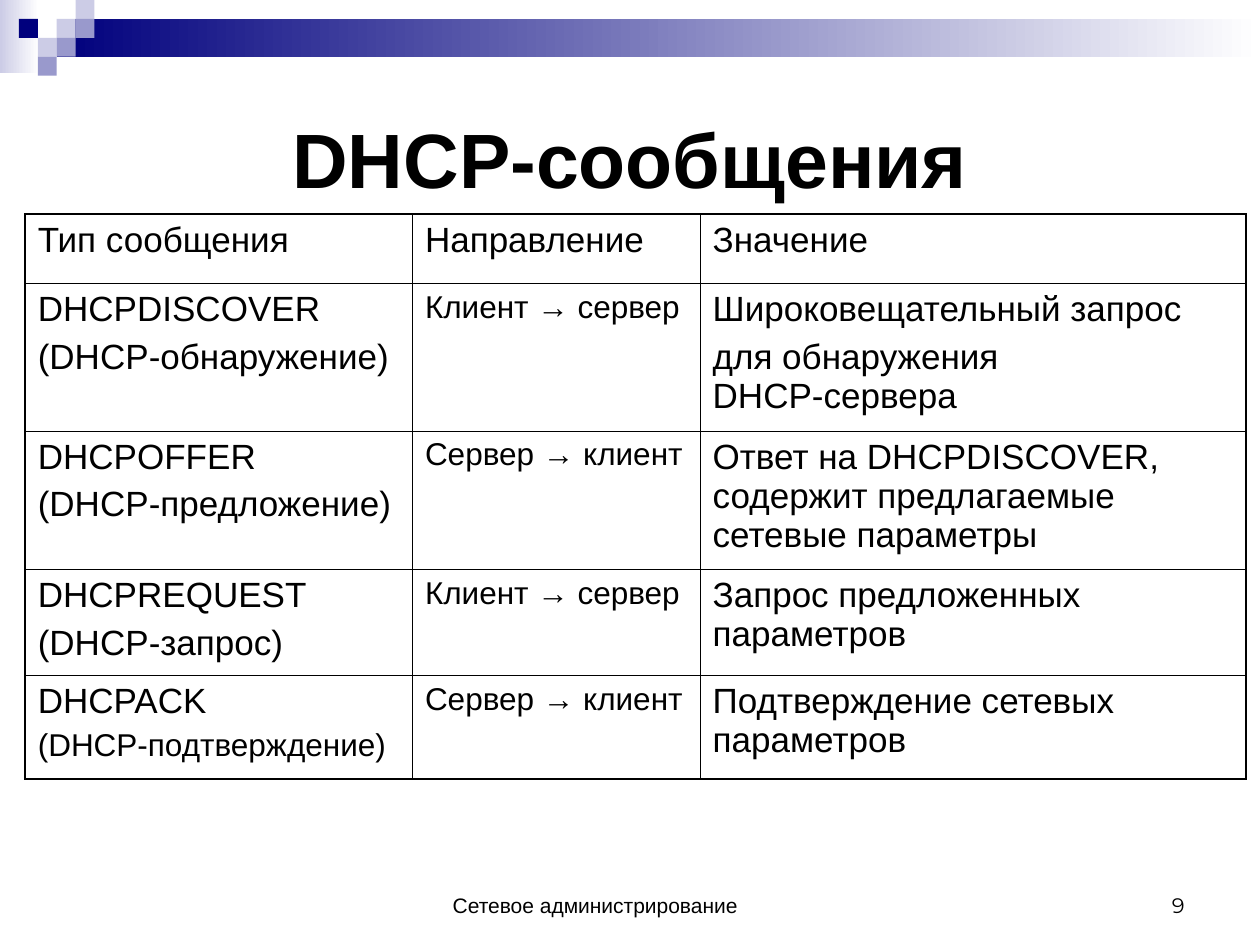
from lxml.etree import SubElement
from pptx import Presentation
from pptx.dml.color import RGBColor
from pptx.enum.shapes import MSO_SHAPE
from pptx.enum.text import MSO_ANCHOR as Anchor, PP_ALIGN as Align
from pptx.oxml import parse_xml
from pptx.oxml.ns import nsdecls
from pptx.util import Pt

COLORS = {"text": "000000", "navy": "00007D", "violet": "9999CC",
          "lilac": "CCCCE6", "white": "FFFFFF"}

TITLE = "DHCP-сообщения"
FOOTER = "Сетевое администрирование"
PAGE_NUMBER = "9"

# Each cell is a list of paragraphs; \v breaks a line inside a paragraph.
ROWS = [
    [["Тип сообщения"], ["Направление"], ["Значение"]],
    [["DHCPDISCOVER", "(DHCP-обнаружение)"], ["Клиент → сервер"],
     ["Широковещательный запрос", "для обнаружения \vDHCP-сервера"]],
    [["DHCPOFFER", "(DHCP-предложение)"], ["Сервер → клиент"],
     ["Ответ на DHCPDISCOVER,", "содержит предлагаемые", "сетевые параметры"]],
    [["DHCPREQUEST", "(DHCP-запрос)"], ["Клиент → сервер"],
     ["Запрос предложенных параметров"]],
    [["DHCPACK", "(DHCP-подтверждение)"], ["Сервер → клиент"],
     ["Подтверждение сетевых параметров"]],
]
SMALL_TEXTS = {"Клиент → сервер", "Сервер → клиент", "(DHCP-подтверждение)"}
TIGHT_CELLS = {(2, 2)}  # paragraphs without space before
COLUMN_WIDTHS = [221.3, 164.4, 312]
ROW_HEIGHTS = [39.7, 84.1, 79.1, 59.7, 59.2]
THICK, THIN = 1.08, 0.45

# Header squares on a grid: column, row, colour
SQUARE = 10.8
SQUARES = [(3, 1, "lilac"), (4, 0, "lilac"), (4, 1, "violet"), (2, 2, "lilac"),
           (1, 1, "navy"), (3, 2, "violet"), (2, 3, "violet")]


def rgb(name):
    return RGBColor.from_string(COLORS[name])


def style(para, size, font="Arial", bold=False, align=None):
    para.font.size, para.font.name, para.font.bold = Pt(size), font, bold
    para.font.color.rgb = rgb("text")
    para.alignment = align


def add_block(slide, left, top, width, height, start, end=None):
    """Add a borderless rectangle, fading rightwards to end if it is given."""
    block = slide.shapes.add_shape(MSO_SHAPE.RECTANGLE, Pt(left), Pt(top),
                                   Pt(width), Pt(height))
    block.shadow.inherit = False
    block.line.fill.background()
    if end is None:
        block.fill.solid()
        block.fill.fore_color.rgb = rgb(start)
        return
    block.fill.gradient()
    block.fill.gradient_angle = 0
    for stop, position, name in zip(block.fill.gradient_stops, (0, 1), (start, end)):
        stop.position = position
        stop.color.rgb = rgb(name)


def add_label(slide, text, left, width, font, align):
    box = slide.shapes.add_textbox(Pt(left), Pt(491.8), Pt(width), Pt(36))
    frame = box.text_frame
    frame.word_wrap = True
    frame.vertical_anchor = Anchor.BOTTOM
    frame.text = text
    style(frame.paragraphs[0], 12, font, align=align)


def set_borders(cell, widths):
    """Draw the left, right, top and bottom lines, in that order."""
    properties = cell._tc.get_or_add_tcPr()
    for index, (side, width) in enumerate(zip("LRTB", widths)):
        line = parse_xml(f'<a:ln{side} {nsdecls("a")} w="{Pt(width)}"/>')
        fill = SubElement(line, line.tag.replace(f"ln{side}", "solidFill"))
        SubElement(fill, fill.tag.replace("solidFill", "srgbClr"), val=COLORS["text"])
        properties.insert(index, line)


def add_message_table(slide):
    last_row, last_column = len(ROWS) - 1, len(COLUMN_WIDTHS) - 1
    table = slide.shapes.add_table(
        len(ROWS), len(COLUMN_WIDTHS), Pt(14.4), Pt(122.4),
        Pt(sum(COLUMN_WIDTHS)), Pt(sum(ROW_HEIGHTS))).table
    table.first_row = table.horz_banding = False
    for column, width in zip(table.columns, COLUMN_WIDTHS):
        column.width = Pt(width)
    for row, height in zip(table.rows, ROW_HEIGHTS):
        row.height = Pt(height)
    for r, row in enumerate(ROWS):
        for c, texts in enumerate(row):
            cell = table.cell(r, c)
            cell.fill.background()
            thick_sides = (c == 0, c == last_column, r <= 1, r in (0, last_row))
            set_borders(cell, [THICK if thick else THIN for thick in thick_sides])
            cell.text = "\n".join(texts)
            for text, para in zip(texts, cell.text_frame.paragraphs):
                size = 18 if text in SMALL_TEXTS else 20
                style(para, size)
                para.space_before = Pt(0 if (r, c) in TIGHT_CELLS else size / 4)


def main():
    deck = Presentation()
    deck.slide_width, deck.slide_height = Pt(720), Pt(540)
    slide = deck.slides.add_slide(deck.slide_layouts[5])

    add_block(slide, 0, 0, 22.3, 41.8, "lilac", "white")
    add_block(slide, 32.4, SQUARE, 687.6, 2 * SQUARE, "navy", "white")
    for column, row, name in SQUARES:
        add_block(slide, column * SQUARE, row * SQUARE, SQUARE, SQUARE, name)

    add_label(slide, FOOTER, 36.7, 607, "Arial", Align.CENTER)
    add_label(slide, PAGE_NUMBER, 516.2, 167.8, "Montserrat", Align.RIGHT)

    title = slide.shapes.title
    title.left, title.top, title.width, title.height = Pt(36), Pt(36), Pt(648), Pt(108)
    title.text_frame.text = TITLE
    title.text_frame.vertical_anchor = Anchor.MIDDLE
    style(title.text_frame.paragraphs[0], 44, bold=True, align=Align.CENTER)

    add_message_table(slide)
    deck.save("out.pptx")


if __name__ == "__main__":
    main()
